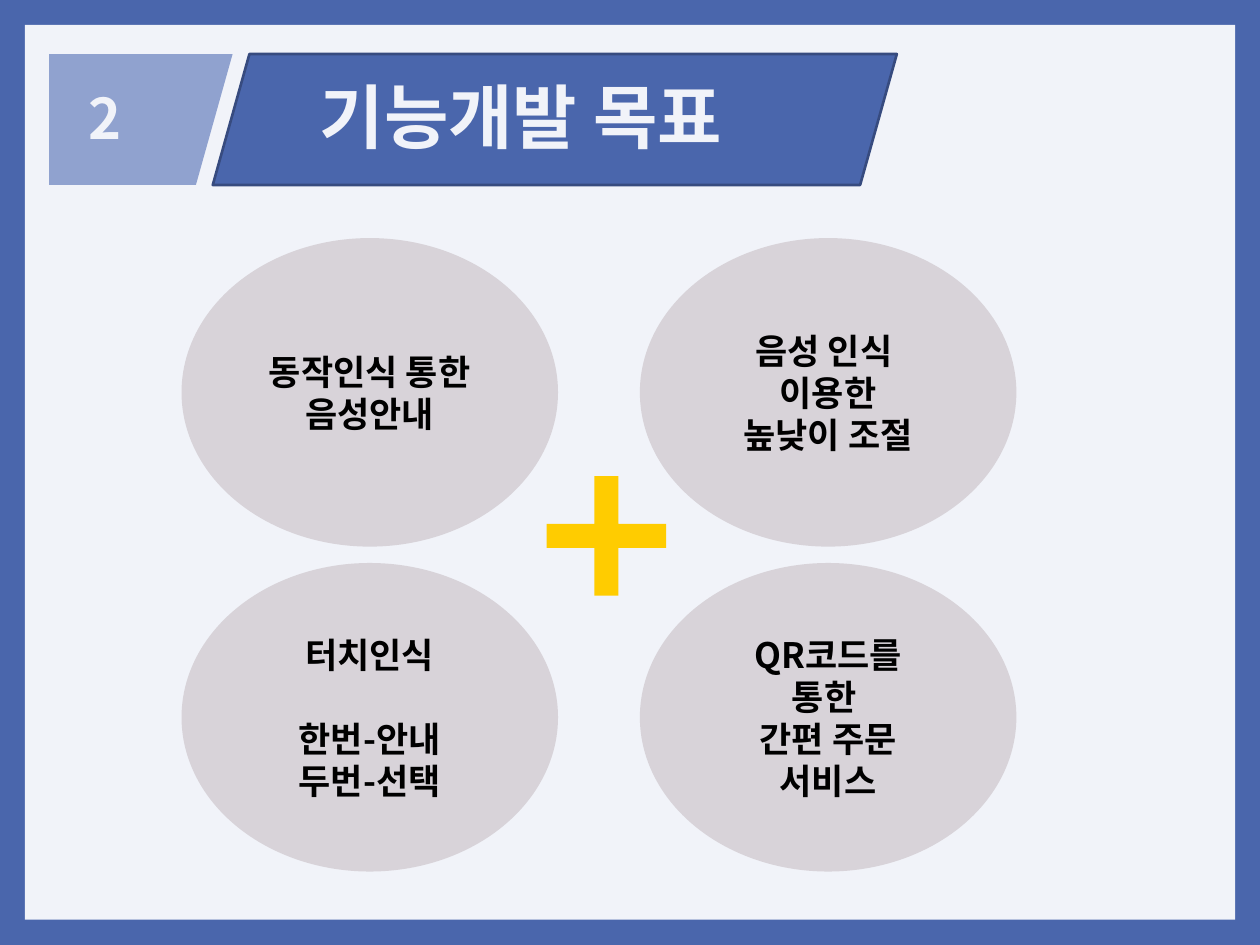
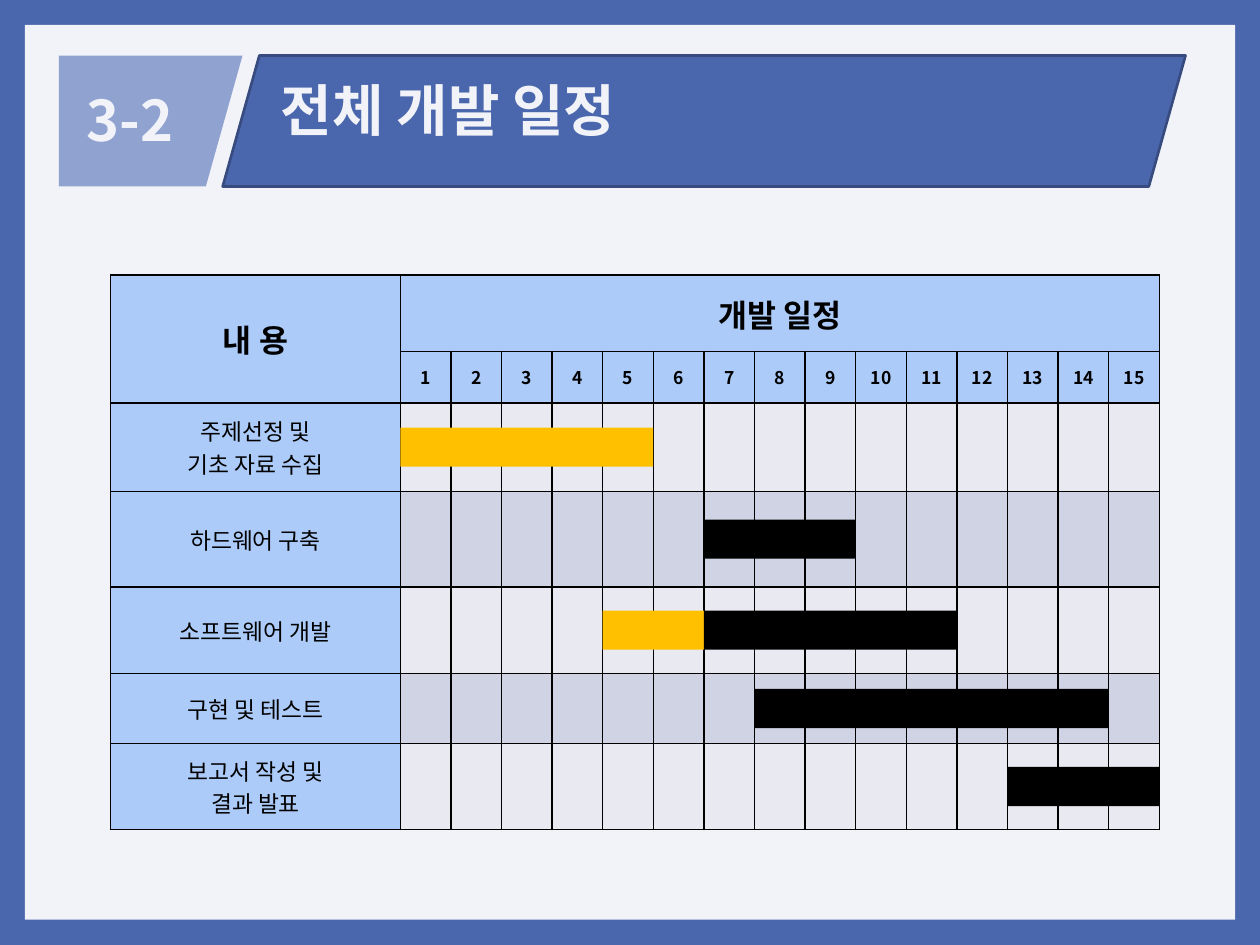
from itertools import accumulate

from lxml import etree
from pptx import Presentation
from pptx import util as u
from pptx.dml.color import RGBColor
from pptx.enum import shapes, text
from pptx.oxml import ns


class Theme:
    font = "Noto Sans CJK KR"
    frame = "4A66AC"
    edge = "374B7F"
    panel = "F1F3F9"
    tab = "90A2CF"
    bubble = "D8D3D9"
    plus = "FFCC00"
    done = "FFC000"
    ink = "000000"
    label = "ACCBF9"
    bands = ("E9EAF1", "D0D3E3")
    number_size = 32
    bubble_size = 20
    bubble_pitch = 24
    heading_size = 18
    week_size = 10
    task_size = 13


GOALS_HEADER = dict(number="2", title="기능개발 목표", size=40, tab_left=0.99, top=1.09,
                    banner_width=13.79, number_left=1.78, title_left=6.45, title_middle=2.33)
SCHEDULE_HEADER = dict(number="3-2", title="전체 개발 일정", size=32, tab_left=1.19, top=1.12,
                       banner_width=19.41, number_left=1.75, title_left=5.66, title_middle=2.2)

GOALS = [
    (["동작인식 통한", "음성안내"], {}),
    (["음성 인식 ", "이용한", "높낮이 조절"], {}),
    (["터치인식", "한번-안내", "두번-선택"], {1: Theme.bubble_pitch}),
    (["QR코드를", "통한 ", "간편 주문 서비스"], {}),
]

WEEKS = 15
TASKS = [
    (["주제선정 및", "기초 자료 수집"], 1.79, [(1, 5, Theme.done)]),
    (["하드웨어 구축"], 1.92, [(7, 9, Theme.ink)]),
    (["소프트웨어 개발"], 1.75, [(5, 6, Theme.done), (7, 11, Theme.ink)]),
    (["구현 및 테스트"], 1.41, [(8, 14, Theme.ink)]),
    (["보고서 작성 및", "결과 발표"], 1.73, [(13, 15, Theme.ink)]),
]


def rgb(value):
    return RGBColor.from_string(value)


def write(frame, lines, size, color=Theme.ink, bold=True, align=text.PP_ALIGN.CENTER,
          pitch=None, gaps=None):
    frame.vertical_anchor = text.MSO_ANCHOR.MIDDLE
    for index, line in enumerate(lines):
        paragraph = frame.add_paragraph() if index else frame.paragraphs[0]
        paragraph.alignment = align
        if pitch:
            paragraph.line_spacing = u.Pt(pitch)
        if gaps and index in gaps:
            paragraph.space_before = u.Pt(gaps[index])
        run = paragraph.add_run()
        run.text = line
        run.font.name = Theme.font
        run.font.size = u.Pt(size)
        run.font.bold = bold
        run.font.color.rgb = rgb(color)
        east_asian = etree.SubElement(run.font._element, ns.qn("a:ea"))
        east_asian.set("typeface", Theme.font)


def paint(shape, fill, line=None):
    shape.shadow.inherit = False
    shape.fill.solid()
    shape.fill.fore_color.rgb = rgb(fill)
    if line:
        shape.line.color.rgb = rgb(line)
        shape.line.width = u.Pt(1.5)
    else:
        shape.line.fill.background()
    return shape


def draw(slide, kind, left, top, width, height, fill, line=None):
    box = [u.Cm(value) for value in (left, top, width, height)]
    return paint(slide.shapes.add_shape(kind, *box), fill, line)


def clear_insets(frame):
    frame.margin_left = frame.margin_right = frame.margin_top = frame.margin_bottom = 0
    frame.auto_size = text.MSO_AUTO_SIZE.NONE


def add_slide(prs, number, title, size, tab_left, top, banner_width,
              number_left, title_left, title_middle):
    slide = prs.slides.add_slide(prs.slide_layouts[5])
    draw(slide, shapes.MSO_SHAPE.RECTANGLE, 0.5, 0.5, 24.4, 18.04, Theme.panel)

    height, slant, tab_width = 2.64, 0.74, 3.7
    banner = draw(slide, shapes.MSO_SHAPE.PARALLELOGRAM, tab_left + 3.3, top,
                  banner_width, height, Theme.frame, Theme.edge)
    banner.adjustments[0] = slant / height

    right, bottom = tab_left + tab_width, top + height
    outline = slide.shapes.build_freeform(u.Cm(tab_left), u.Cm(top))
    outline.add_line_segments([(u.Cm(x), u.Cm(y)) for x, y in (
        (right, top), (right - slant, bottom), (tab_left, bottom))])
    paint(outline.convert_to_shape(), Theme.tab)

    number_box = slide.shapes.add_textbox(
        u.Cm(number_left), u.Cm(top + 0.46), u.Cm(2.6), u.Cm(1.63))
    clear_insets(number_box.text_frame)
    number_box.text_frame.word_wrap = True
    write(number_box.text_frame, [number], Theme.number_size, Theme.panel,
          align=text.PP_ALIGN.LEFT)

    heading = slide.shapes.title
    heading.left, heading.top = u.Cm(title_left), u.Cm(title_middle - 1)
    heading.width, heading.height = u.Cm(banner_width - 3), u.Cm(2)
    clear_insets(heading.text_frame)
    write(heading.text_frame, [title], size, Theme.panel, align=text.PP_ALIGN.LEFT)
    slide.shapes.element.append(heading.element)
    return slide


def build_goals(prs):
    slide = add_slide(prs, **GOALS_HEADER)
    for index, (lines, gaps) in enumerate(GOALS):
        row, column = divmod(index, 2)
        bubble = draw(slide, shapes.MSO_SHAPE.OVAL, 3.66 + 9.24 * column, 4.8 + 6.55 * row,
                      7.59, 6.22, Theme.bubble)
        frame = bubble.text_frame
        frame.word_wrap = True
        frame.margin_left = frame.margin_right = u.Cm(0.35)
        write(frame, lines, Theme.bubble_size, pitch=Theme.bubble_pitch, gaps=gaps)
    plus = draw(slide, shapes.MSO_SHAPE.CROSS, 11.02, 9.6, 2.41, 2.41, Theme.plus)
    plus.adjustments[0] = 0.4


def style_cell(cell, fill):
    cell.fill.solid()
    cell.fill.fore_color.rgb = rgb(fill)
    cell.margin_top = cell.margin_bottom = 0
    cell.margin_left = cell.margin_right = u.Cm(0.1)
    properties = cell._tc.get_or_add_tcPr()
    for position, side in enumerate(("lnL", "lnR", "lnT", "lnB")):
        border = etree.Element(ns.qn(f"a:{side}"), w=str(u.Pt(1)))
        solid = etree.SubElement(border, ns.qn("a:solidFill"))
        etree.SubElement(solid, ns.qn("a:srgbClr"), val=Theme.ink)
        properties.insert(position, border)


def write_cell(cell, lines, size, bold=True):
    write(cell.text_frame, lines, size, bold=bold)
    cell.vertical_anchor = text.MSO_ANCHOR.MIDDLE


def build_schedule(prs):
    slide = add_slide(prs, **SCHEDULE_HEADER)
    left, top, label_width, week_width, bar_height = 2.23, 5.54, 5.84, 1.02, 0.79
    heights = [1.55, 1.03] + [height for _, height, _ in TASKS]
    widths = [label_width] + [week_width] * WEEKS
    row_tops = list(accumulate(heights, initial=top))

    schedule = slide.shapes.add_table(
        len(heights), len(widths), u.Cm(left), u.Cm(top),
        u.Cm(sum(widths)), u.Cm(sum(heights))).table
    schedule.first_row = schedule.horz_banding = False
    for column, width in zip(schedule.columns, widths):
        column.width = u.Cm(width)
    for index, (row, height) in enumerate(zip(schedule.rows, heights)):
        row.height = u.Cm(height)
        for column, cell in enumerate(row.cells):
            labelled = index < 2 or column == 0
            style_cell(cell, Theme.label if labelled else Theme.bands[index % 2])

    schedule.cell(0, 0).merge(schedule.cell(1, 0))
    schedule.cell(0, 1).merge(schedule.cell(0, WEEKS))
    write_cell(schedule.cell(0, 0), ["내 용"], Theme.heading_size)
    write_cell(schedule.cell(0, 1), ["개발 일정"], Theme.heading_size)
    for week in range(1, WEEKS + 1):
        write_cell(schedule.cell(1, week), [str(week)], Theme.week_size)

    for row, (lines, height, bars) in enumerate(TASKS, start=2):
        write_cell(schedule.cell(row, 0), lines, Theme.task_size, bold=False)
        for first, last, color in bars:
            draw(slide, shapes.MSO_SHAPE.RECTANGLE,
                 left + label_width + (first - 1) * week_width,
                 row_tops[row] + (height - bar_height) / 2,
                 (last - first + 1) * week_width, bar_height, color)


def main():
    prs = Presentation()
    prs.slide_width, prs.slide_height = u.Cm(25.4), u.Cm(19.05)
    backdrop = prs.slide_master.background.fill
    backdrop.solid()
    backdrop.fore_color.rgb = rgb(Theme.frame)
    build_goals(prs)
    build_schedule(prs)
    prs.save("out.pptx")


if __name__ == "__main__":
    main()
